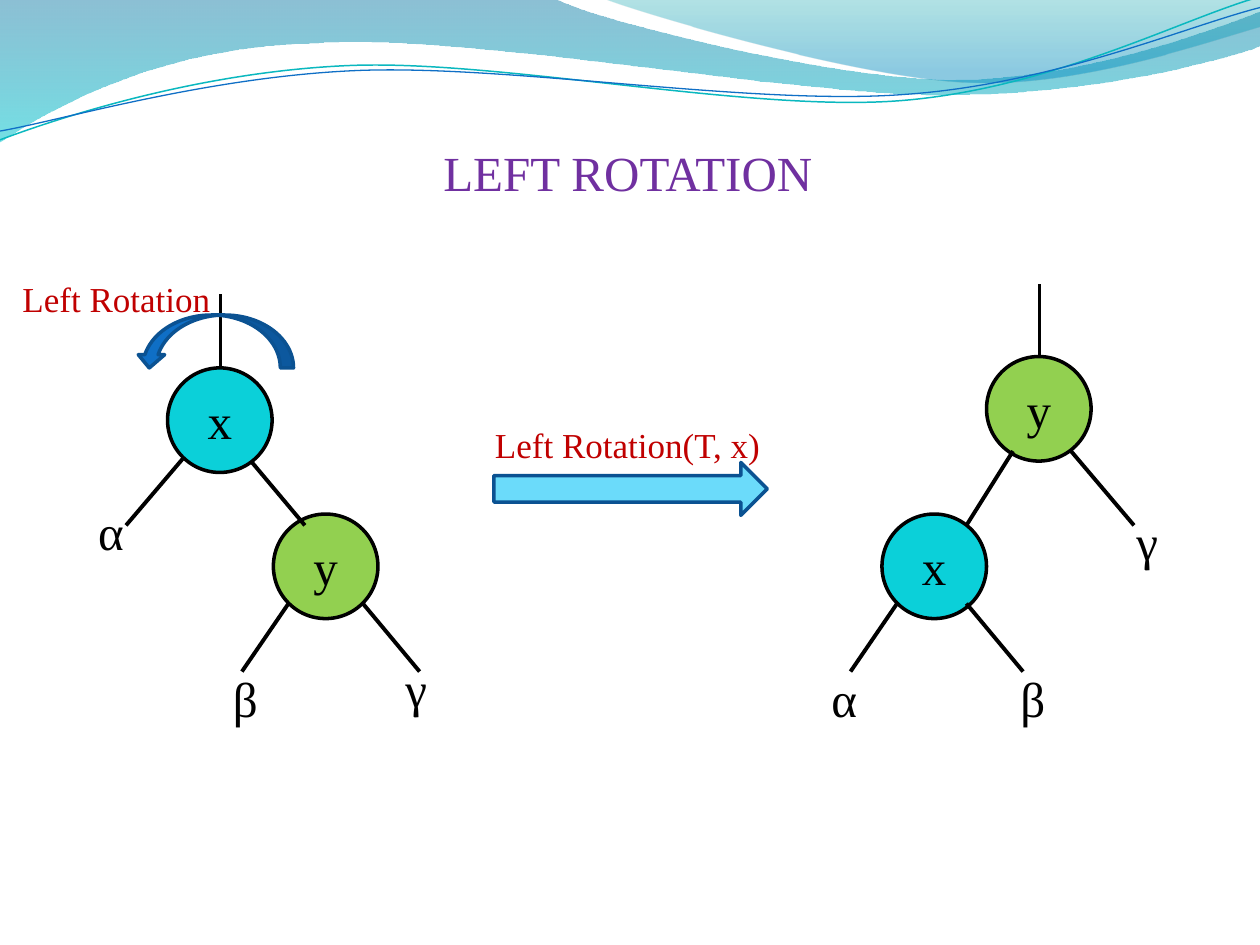
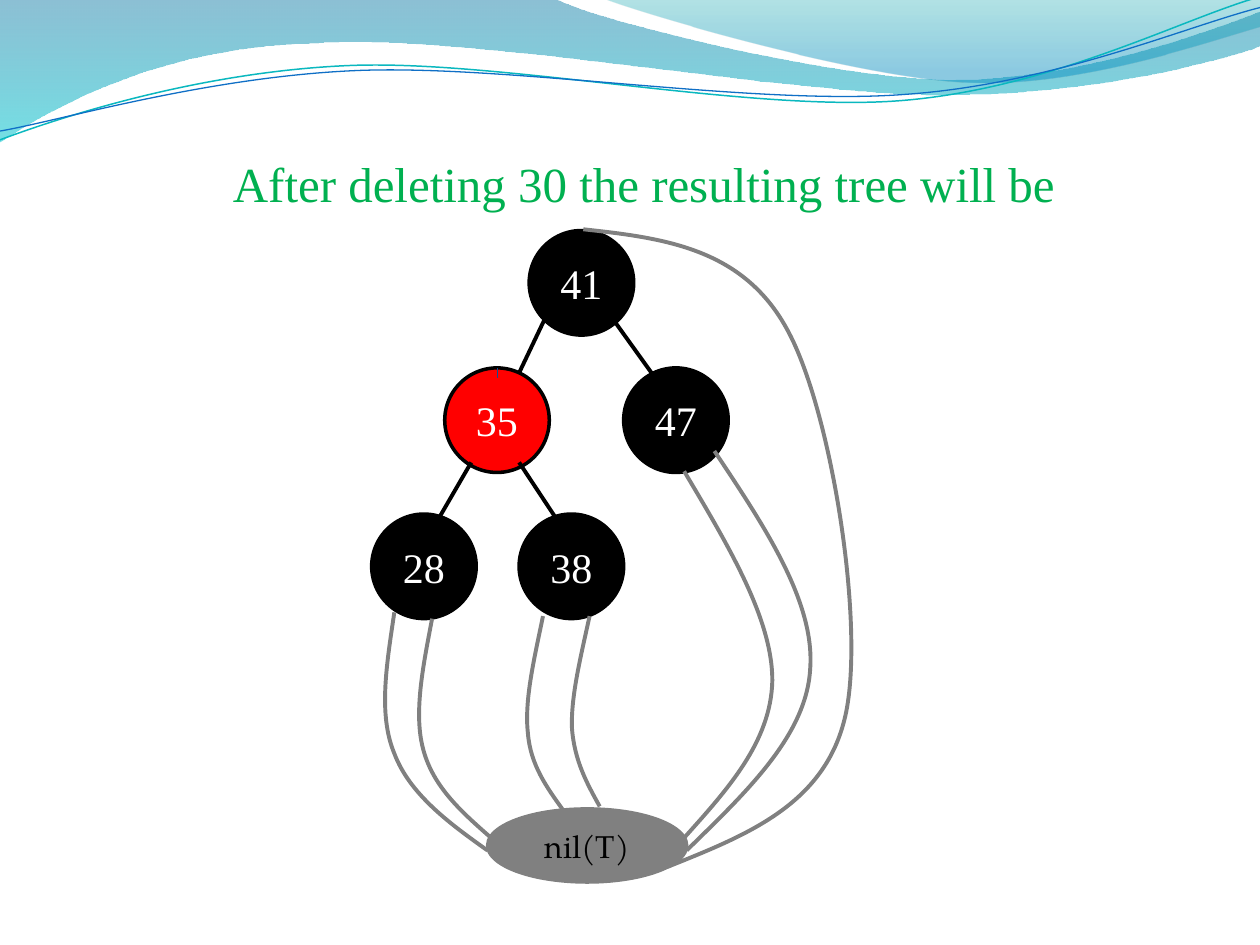
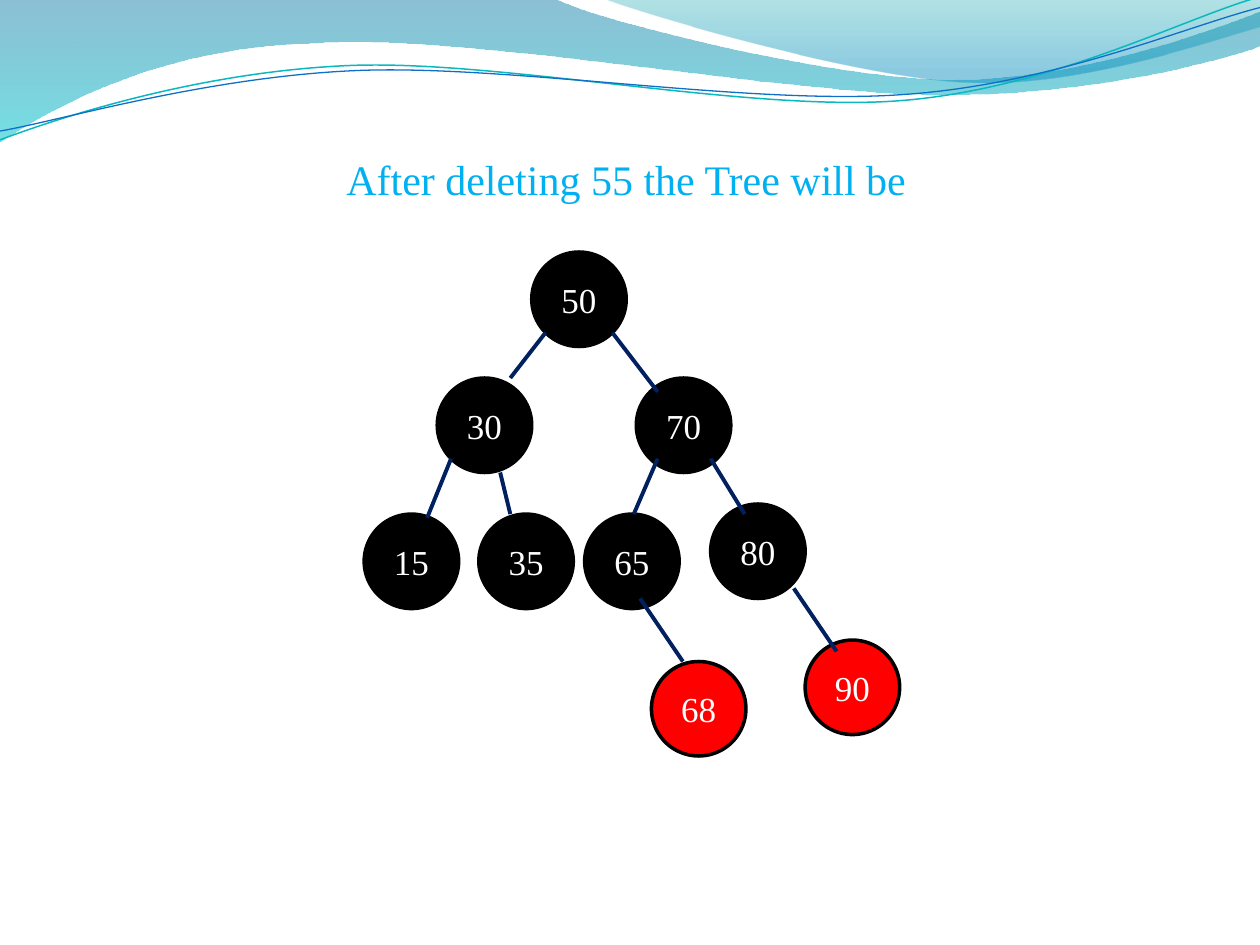
import math
from dataclasses import dataclass

from lxml import etree
from pptx import Presentation
from pptx.dml.color import RGBColor
from pptx.enum import shapes, text
from pptx.oxml import ns
from pptx.util import Inches, Pt

BLACK = RGBColor(0x00, 0x00, 0x00)
WHITE = RGBColor(0xFF, 0xFF, 0xFF)
GRAY = RGBColor(0x80, 0x80, 0x80)
RED = RGBColor(0xFF, 0x00, 0x00)
DARK_RED = RGBColor(0xC0, 0x00, 0x00)
PURPLE = RGBColor(0x70, 0x30, 0xA0)
GREEN = RGBColor(0x00, 0xB0, 0x50)
LIME = RGBColor(0x92, 0xD0, 0x50)
TURQUOISE = RGBColor(0x0B, 0xD0, 0xD9)
SKY = RGBColor(0x00, 0xB0, 0xF0)
PALE_SKY = RGBColor(0x6B, 0xDB, 0xFA)
NAVY = RGBColor(0x00, 0x20, 0x60)
BLUE = RGBColor(0x0F, 0x6F, 0xC6)
DARK_BLUE = RGBColor(0x0B, 0x52, 0x92)
TICK_BLUE = RGBColor(0x09, 0x52, 0x95)
WAVE_TEAL = RGBColor(0x0A, 0xB8, 0xBF)
BAND_STOPS = [(0, RGBColor(0x00, 0x74, 0xA1), 45), (1, RGBColor(0x00, 0xC6, 0xCF), 55)]
CORNER_STOPS = [(0, RGBColor(0x00, 0xA1, 0xA9), 30), (0.8, RGBColor(0x00, 0x8B, 0xBF), 45)]

SERIF = "Times New Roman"
NIL_FONT = "TeX Gyre Pagella"
EDGE_WIDTH = 2.25
WAVE_TILT = -2.7
WAVE_CENTER = (4.99, 0.58)

BAND_TOP = [(4.4, -0.01), (4.76, 0.17), (6.64, 0.63), (7.58, 0.63),
            (8.53, 0.63), (9.58, 0.26), (10, 0.09)]
BAND_BOTTOM = [(10.01, 0.36), (9.83, 0.44), (8.7, 0.76), (7.46, 0.75),
               (6.22, 0.75), (3.82, 0.28), (2.57, 0.34),
               (1.29, 0.36), (0.46, 0.83), (-0.01, 1.13)]
CORNER = [(4.79, -0.01), (5.09, 0.11), (6.82, 0.62), (7.69, 0.65),
          (8.56, 0.69), (9.61, 0.32), (10, 0.21)]
TEAL_WAVE = [(0, 1.11), (0.48, 0.93), (1.58, 0.57), (2.77, 0.52),
             (3.95, 0.47), (5.93, 0.89), (7.13, 0.8),
             (8.33, 0.71), (9.38, 0.15), (9.98, -0.02)]
BLUE_WAVE = [(0, 1.04), (0.47, 0.96), (1.64, 0.61), (2.83, 0.56),
             (4.03, 0.51), (5.97, 0.84), (7.17, 0.75),
             (8.36, 0.67), (9.41, 0.21), (10, 0.06)]

NIL_LINKS = [
    [(0.48, 3.08), (0.41, 3.45), (0.33, 3.83), (0.41, 4.12),
     (0.49, 4.42), (0.72, 4.62), (0.96, 4.83)],
    [(0.18, 3.03), (0.12, 3.44), (0.05, 3.84), (0.18, 4.15),
     (0.3, 4.47), (0.61, 4.7), (0.92, 4.92)],
    [(2.48, 1.91), (2.83, 2.5), (3.18, 3.08), (3.18, 3.57),
     (3.17, 4.06), (2.82, 4.44), (2.47, 4.83)],
    [(2.72, 1.75), (3.12, 2.35), (3.52, 2.95), (3.48, 3.48),
     (3.45, 4.01), (2.97, 4.46), (2.5, 4.92)],
    [(1.68, -0.01), (2.32, 0.06), (2.95, 0.14), (3.3, 0.79),
     (3.65, 1.43), (3.92, 3.14), (3.76, 3.85),
     (3.6, 4.56), (2.97, 4.8), (2.35, 5.05)],
    [(1.36, 3.06), (1.29, 3.4), (1.21, 3.73), (1.24, 3.99),
     (1.26, 4.24), (1.39, 4.42), (1.52, 4.6)],
    [(1.73, 3.06), (1.66, 3.38), (1.58, 3.7), (1.59, 3.95),
     (1.61, 4.21), (1.71, 4.39), (1.81, 4.57)],
]


@dataclass
class TreeStyle:
    """Look shared by the nodes and edges of one tree."""
    diameter: float
    size: int
    ink: RGBColor
    edge: RGBColor


ROTATION_STYLE = TreeStyle(0.83, 28, BLACK, BLACK)
NIL_STYLE = TreeStyle(0.83, 24, WHITE, BLACK)
SMALL_STYLE = TreeStyle(0.75, 20, WHITE, NAVY)


def bend(outline, chains):
    """Turn each three segments of a chain into one cubic curve."""
    segments = list(outline.element.iter(ns.qn("a:lnTo")))
    position = -1
    for chain in chains:
        position += 1
        for _ in range(len(chain) // 3):
            trio = segments[position:position + 3]
            cubic = etree.Element(ns.qn("a:cubicBezTo"))
            trio[0].addprevious(cubic)
            for segment in trio:
                cubic.append(segment[0])
                segment.getparent().remove(segment)
            position += 3


def add_outline(slide, chains, close=False, left=0, top=0):
    """Add curved chains, joined by straight lines, relative to left and top."""
    start, *rest = [(Inches(left + x), Inches(top + y)) for chain in chains for x, y in chain]
    builder = slide.shapes.build_freeform(*start)
    builder.add_line_segments(rest, close=close)
    outline = builder.convert_to_shape()
    outline.shadow.inherit = False
    bend(outline, chains)
    return outline


def add_curve(slide, points, color, width, left=0, top=0):
    """Add an unfilled curved line."""
    curve = add_outline(slide, [points], left=left, top=top)
    curve.fill.background()
    curve.line.color.rgb = color
    curve.line.width = Pt(width)
    return curve


def add_wave(slide, points, color, width):
    """Add a wave line as a level curve that is then tilted."""
    cos, sin = math.cos(math.radians(WAVE_TILT)), math.sin(math.radians(WAVE_TILT))
    mid_x, mid_y = WAVE_CENTER
    level = [(mid_x + (x - mid_x) * cos + (y - mid_y) * sin,
              mid_y - (x - mid_x) * sin + (y - mid_y) * cos) for x, y in points]
    add_curve(slide, level, color, width).rotation = WAVE_TILT


def add_wash(slide, chains, stops):
    """Add a closed area with a translucent top-to-bottom gradient."""
    wash = add_outline(slide, chains, close=True)
    wash.line.fill.background()
    wash.fill.gradient()
    wash.fill.gradient_angle = 270
    for stop, (position, color, _) in zip(wash.fill.gradient_stops, stops):
        stop.position = position
        stop.color.rgb = color
    for color, (_, _, opacity) in zip(wash.element.iter(ns.qn("a:srgbClr")), stops):
        etree.SubElement(color, ns.qn("a:alpha")).set("val", str(opacity * 1000))


def add_waves(slide):
    """Draw the wavy header that all slides share."""
    add_wash(slide, [[(0, 0)], BAND_TOP, BAND_BOTTOM], BAND_STOPS)
    add_wash(slide, [CORNER, [(10, 0)]], CORNER_STOPS)
    add_wave(slide, TEAL_WAVE, WAVE_TEAL, 0.85)
    add_wave(slide, BLUE_WAVE, BLUE, 0.75)


def style_text(frame, words, size, color, font=SERIF):
    """Write one paragraph and format it."""
    frame.text = words
    for run in frame.paragraphs[0].runs:
        run.font.size = Pt(size)
        run.font.name = font
        run.font.color.rgb = color


def add_label(slide, words, box, size, color, wrap=False):
    """Add a left-aligned text box."""
    frame = slide.shapes.add_textbox(*map(Inches, box)).text_frame
    frame.word_wrap = wrap
    frame.auto_size = text.MSO_AUTO_SIZE.SHAPE_TO_FIT_TEXT
    style_text(frame, words, size, color)


def add_figure(slide, preset, box, fill, line):
    """Add a filled preset shape with a 2 pt outline."""
    figure = slide.shapes.add_shape(preset, *map(Inches, box))
    figure.shadow.inherit = False
    figure.fill.solid()
    figure.fill.fore_color.rgb = fill
    figure.line.color.rgb = line
    figure.line.width = Pt(2)
    return figure


def add_node(slide, words, box, fill, line, size, ink, font=SERIF):
    """Add an ellipse with a centred key."""
    node = add_figure(slide, shapes.MSO_SHAPE.OVAL, box, fill, line)
    node.text_frame.vertical_anchor = text.MSO_ANCHOR.MIDDLE
    style_text(node.text_frame, words, size, ink, font)
    node.text_frame.paragraphs[0].alignment = text.PP_ALIGN.CENTER


def add_edge(slide, ends, color, width=EDGE_WIDTH):
    """Add a straight line without shadow."""
    edge = slide.shapes.add_connector(shapes.MSO_CONNECTOR.STRAIGHT, *map(Inches, ends))
    edge.line.color.rgb = color
    edge.line.width = Pt(width)
    etree.SubElement(edge.element.spPr, ns.qn("a:effectLst"))


def add_tree(slide, left, top, style, nodes, edges):
    """Draw nodes and edges relative to the tree's corner."""
    for key, x, y, fill in nodes:
        box = (left + x, top + y, style.diameter, style.diameter)
        add_node(slide, key, box, fill, BLACK, style.size, style.ink)
    for x1, y1, x2, y2 in edges:
        add_edge(slide, (left + x1, top + y1, left + x2, top + y2), style.edge)


def add_rotation_tree(slide, left, top, nodes, edges, subtrees):
    """Draw a tree whose leaves are named subtrees."""
    add_tree(slide, left, top, ROTATION_STYLE, nodes, edges)
    for name, x, y in subtrees:
        add_label(slide, name, (left + x, top + y, 0.4, 0.57), 28, BLACK)


def add_rotation_arrows(slide, left, top):
    """Draw the turning arrow and the operation arrow with their captions."""
    turn = add_figure(slide, shapes.MSO_SHAPE.CURVED_DOWN_ARROW,
                      (left + 1, top + 0.35, 1.25, 0.42), BLUE, DARK_BLUE)
    turn.element.spPr.find(ns.qn("a:xfrm")).set("flipH", "1")
    add_label(slide, "Left Rotation", (left, top, 1.92, 0.44), 20, DARK_RED, wrap=True)
    add_figure(slide, shapes.MSO_SHAPE.RIGHT_ARROW,
               (left + 3.84, top + 1.52, 2.17, 0.42), PALE_SKY, DARK_BLUE)
    add_label(slide, "Left Rotation(T, x)", (left + 3.75, top + 1.16, 2.32, 0.44), 20, DARK_RED)


def build_left_rotation(slide):
    """Show a tree before and after a left rotation."""
    add_rotation_tree(
        slide, 0.5, 2.25,
        [("x", 0.83, 0.67, TURQUOISE), ("y", 1.67, 1.83, LIME)],
        [(1.5, 1.42, 1.92, 1.92), (0.96, 1.38, 0.5, 1.92), (1.79, 2.54, 1.42, 3.08),
         (2.38, 2.54, 2.83, 3.08), (1.25, 0.67, 1.25, 0.08)],
        [("α", 0.18, 1.68), ("β", 1.25, 3.01), ("γ", 2.62, 2.93)])
    add_rotation_arrows(slide, 0.08, 2.15)
    add_rotation_tree(
        slide, 6.5, 2.25,
        [("x", 0.5, 1.83, TURQUOISE), ("y", 1.33, 0.58, LIME)],
        [(1.75, 0.58, 1.75, 0), (1.54, 1.33, 1.17, 1.92), (0.62, 2.54, 0.25, 3.08),
         (1.17, 2.54, 1.62, 3.08), (2, 1.33, 2.5, 1.92)],
        [("α", 0, 3.01), ("β", 1.5, 3.01), ("γ", 2.42, 1.76)])


def build_nil_tree(slide, left=2.95, top=1.83):
    """Show the tree without 30, its leaves linked to nil."""
    add_tree(
        slide, left, top, NIL_STYLE,
        [("41", 1.25, 0, BLACK), ("35", 0.58, 1.09, RED), ("47", 2, 1.09, BLACK),
         ("38", 1.17, 2.25, BLACK), ("28", 0, 2.25, BLACK)],
        [(1.92, 0.71, 2.25, 1.17), (1.37, 0.71, 1.17, 1.13),
         (0.79, 1.84, 0.5, 2.34), (1.17, 1.84, 1.5, 2.34)])
    add_edge(slide, (left + 1, top + 1.09, left + 1, top + 1.17), TICK_BLUE, 0.75)
    add_node(slide, "nil(T)", (left + 0.92, top + 4.59, 1.58, 0.58),
             GRAY, GRAY, 18, BLACK, NIL_FONT)
    for link in NIL_LINKS:
        add_curve(slide, link, GRAY, EDGE_WIDTH, left, top)


def build_small_tree(slide):
    """Show the tree without 55."""
    add_tree(
        slide, 2.89, 2, SMALL_STYLE,
        [("50", 1.33, 0, BLACK), ("70", 2.16, 1, BLACK), ("30", 0.58, 1, BLACK),
         ("80", 2.75, 2, BLACK), ("68", 2.28, 3.25, RED), ("90", 3.5, 3.08, RED),
         ("15", 0, 2.08, BLACK), ("65", 1.75, 2.08, BLACK), ("35", 0.91, 2.08, BLACK)],
        [(1.97, 0.64, 2.33, 1.11), (2.75, 1.64, 3.02, 2.08), (1.44, 0.64, 1.16, 1),
         (2.33, 1.64, 2.14, 2.08), (3.41, 2.67, 3.75, 3.17), (2.19, 2.75, 2.53, 3.25),
         (1.08, 1.75, 1.16, 2.08), (0.69, 1.64, 0.5, 2.11)])


def main():
    """Build and save the deck."""
    deck = Presentation()
    deck.slide_width, deck.slide_height = Inches(10), Inches(7.5)
    pages = [
        (build_left_rotation, "LEFT ROTATION", (3.42, 1.08, 3.18, 0.57), 28, PURPLE),
        (build_nil_tree, "After deleting 30 the resulting tree will be",
         (1.75, 1.17, 6.79, 0.57), 28, GREEN),
        (build_small_tree, "After deleting 55 the Tree will be",
         (2.65, 1.17, 4.68, 0.5), 24, SKY),
    ]
    for build, title, box, size, color in pages:
        slide = deck.slides.add_slide(deck.slide_layouts[6])
        add_waves(slide)
        build(slide)
        add_label(slide, title, box, size, color)
    deck.save("out.pptx")


if __name__ == "__main__":
    main()
